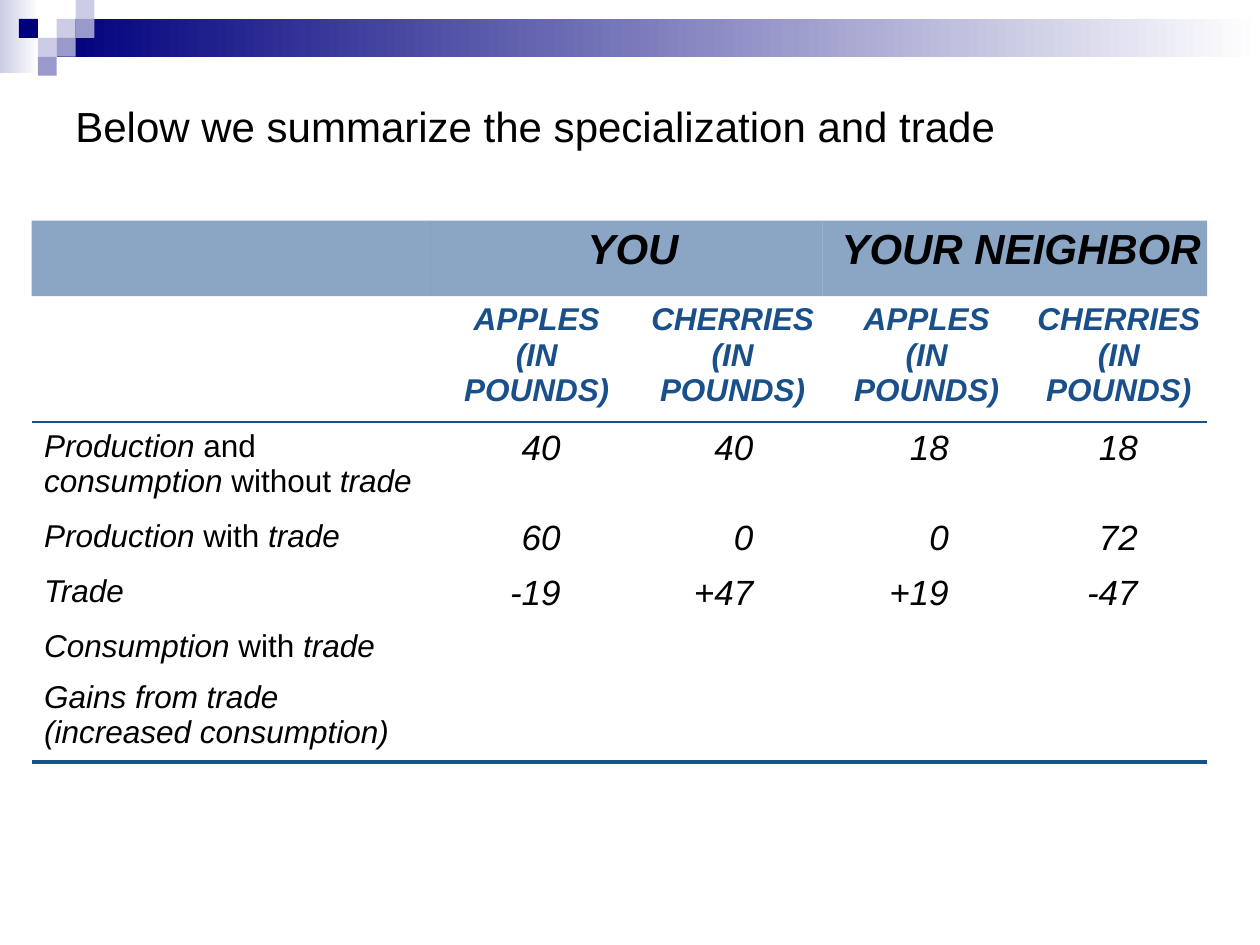
from dataclasses import dataclass
from lxml.etree import SubElement
from pptx import Presentation
from pptx.dml.color import RGBColor as Rgb
from pptx.enum.shapes import MSO_SHAPE as Kind
from pptx.enum.text import MSO_ANCHOR as Anchor, PP_ALIGN as Align
from pptx.oxml import parse_xml
from pptx.oxml.ns import nsdecls, qn
from pptx.util import Inches, Pt


@dataclass(frozen=True)
class Theme:
    font: str = "Arial"
    black: str = "000000"
    white: str = "FFFFFF"
    navy: str = "00007D"
    lilac: str = "CCCCE6"
    violet: str = "9999CC"
    blue: str = "194F8B"
    big: int = 24
    mid: int = 20
    small: int = 18


THEME = Theme()
UNIT = 0.15
PLAIN = "{2D5ABB26-0587-4C30-8999-92F81FD0307C}"
TILES = [
    (3, 1, THEME.lilac), (4, 0, THEME.lilac), (4, 1, THEME.violet),
    (2, 2, THEME.lilac), (1, 1, THEME.navy), (3, 2, THEME.violet),
    (2, 3, THEME.violet),
]
COLS = [3.17, 1.58, 1.53, 1.55, 1.5]
ROWS = [0.6, 0.94, 0.72, 0.41, 0.41, 0.41, 0.65]
HEADS = [(1, "YOU"), (3, "YOUR NEIGHBOR")]
FRUITS = ["APPLES", "CHERRIES"] * 2
BODY = [
    ("Production |and| consumption |without| trade", ["40", "40", "18", "18"]),
    ("Production |with| trade", ["60", "0", "0", "72"]),
    ("Trade", ["-19", "+47", "+19", "-47"]),
    ("Consumption |with| trade", []),
    ("Gains from trade (increased consumption)", []),
]


def style(run, size, color=THEME.black, bold=False, italic=True):
    font = run.font
    font.name, font.size = THEME.font, Pt(size)
    font.bold, font.italic = bold, italic
    font.color.rgb = Rgb.from_string(color)


def add_rect(slide, x, y, w, h, *colors):
    box = slide.shapes.add_shape(
        Kind.RECTANGLE, Inches(x), Inches(y), Inches(w), Inches(h))
    box.shadow.inherit = False
    box.line.fill.background()
    if len(colors) == 1:
        box.fill.solid()
        box.fill.fore_color.rgb = Rgb.from_string(colors[0])
    else:
        box.fill.gradient()
        box.fill.gradient_angle = 0
        for stop, color in zip(box.fill.gradient_stops, colors):
            stop.color.rgb = Rgb.from_string(color)


def add_title(slide, text):
    box = slide.shapes.add_textbox(
        Inches(0.5), Inches(0.5), Inches(9), Inches(1))
    frame = box.text_frame
    frame.word_wrap = True
    frame.vertical_anchor = Anchor.MIDDLE
    frame.text = text
    style(frame.paragraphs[0].runs[0], THEME.big, italic=False)


def write(cell, text, align, size, color=THEME.black, bold=False, right=0):
    cell.margin_right = Inches(right)
    para = cell.text_frame.paragraphs[0]
    para.alignment = align
    para.text = text
    for run in para.runs:
        style(run, size, color, bold)


def label(cell, text):
    cell.margin_right = 0
    para = cell.text_frame.paragraphs[0]
    for i, part in enumerate(text.split("|")):
        run = para.add_run()
        run.text = part
        style(run, THEME.small, italic=i % 2 == 0)


def shade(cell):
    cell.fill.solid()
    cell.fill.fore_color.rgb = Rgb.from_string(THEME.blue)
    tint = cell._tc.tcPr.find(".//" + qn("a:srgbClr"))
    SubElement(tint, qn("a:alpha")).set("val", "50000")


def rule(cell, width):
    line = parse_xml(
        f'<a:lnB {nsdecls("a")} w="{Pt(width)}"><a:solidFill>'
        f'<a:srgbClr val="{THEME.blue}"/></a:solidFill></a:lnB>')
    cell._tc.get_or_add_tcPr().insert(0, line)


def add_grid(slide):
    frame = slide.shapes.add_table(
        len(ROWS), len(COLS), Inches(0.25), Inches(1.75),
        Inches(sum(COLS)), Inches(sum(ROWS)))
    table = frame.table
    table.first_row = table.horz_banding = False
    table._tbl.tblPr.find(qn("a:tableStyleId")).text = PLAIN
    for col, width in zip(table.columns, COLS):
        col.width = Inches(width)
    for row, height in zip(table.rows, ROWS):
        row.height = Inches(height)
    for cell in table.iter_cells():
        cell.fill.background()
    for cell in table.rows[0].cells:
        shade(cell)
    for col, text in HEADS:
        cell = table.cell(0, col)
        cell.merge(table.cell(0, col + 1))
        write(cell, text, Align.CENTER, THEME.big, bold=True)
    for col, fruit in enumerate(FRUITS, 1):
        write(table.cell(1, col), f"{fruit}\v(IN POUNDS)", Align.CENTER,
              THEME.small, THEME.blue, True)
    for row, (name, values) in enumerate(BODY, 2):
        label(table.cell(row, 0), name)
        for col, value in enumerate(values, 1):
            write(table.cell(row, col), value, Align.RIGHT, THEME.mid,
                  right=0.55)
    for row, width in [(1, 1), (len(ROWS) - 1, 2.25)]:
        for cell in table.rows[row].cells:
            rule(cell, width)


def main():
    deck = Presentation()
    deck.slide_width, deck.slide_height = Inches(10), Inches(7.5)
    slide = deck.slides.add_slide(deck.slide_layouts[6])
    add_rect(slide, 0, 0, 0.31, 0.58, THEME.lilac, THEME.white)
    add_rect(slide, 0.45, UNIT, 9.55, 0.3, THEME.navy, THEME.white)
    for col, row, color in TILES:
        add_rect(slide, col * UNIT, row * UNIT, UNIT, UNIT, color)
    add_title(slide, "Below we summarize the specialization and trade")
    add_grid(slide)
    deck.save("out.pptx")


if __name__ == "__main__":
    main()
